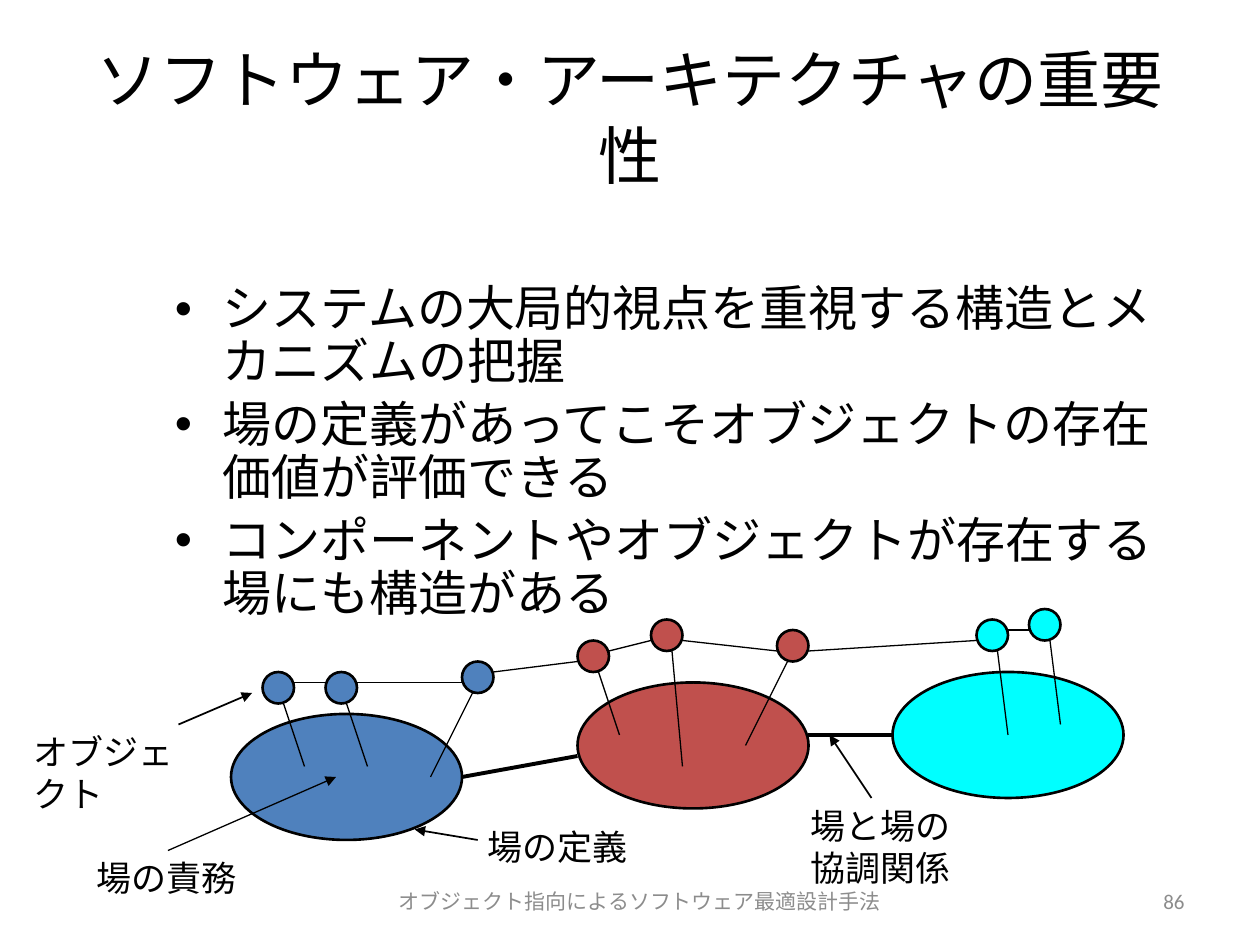
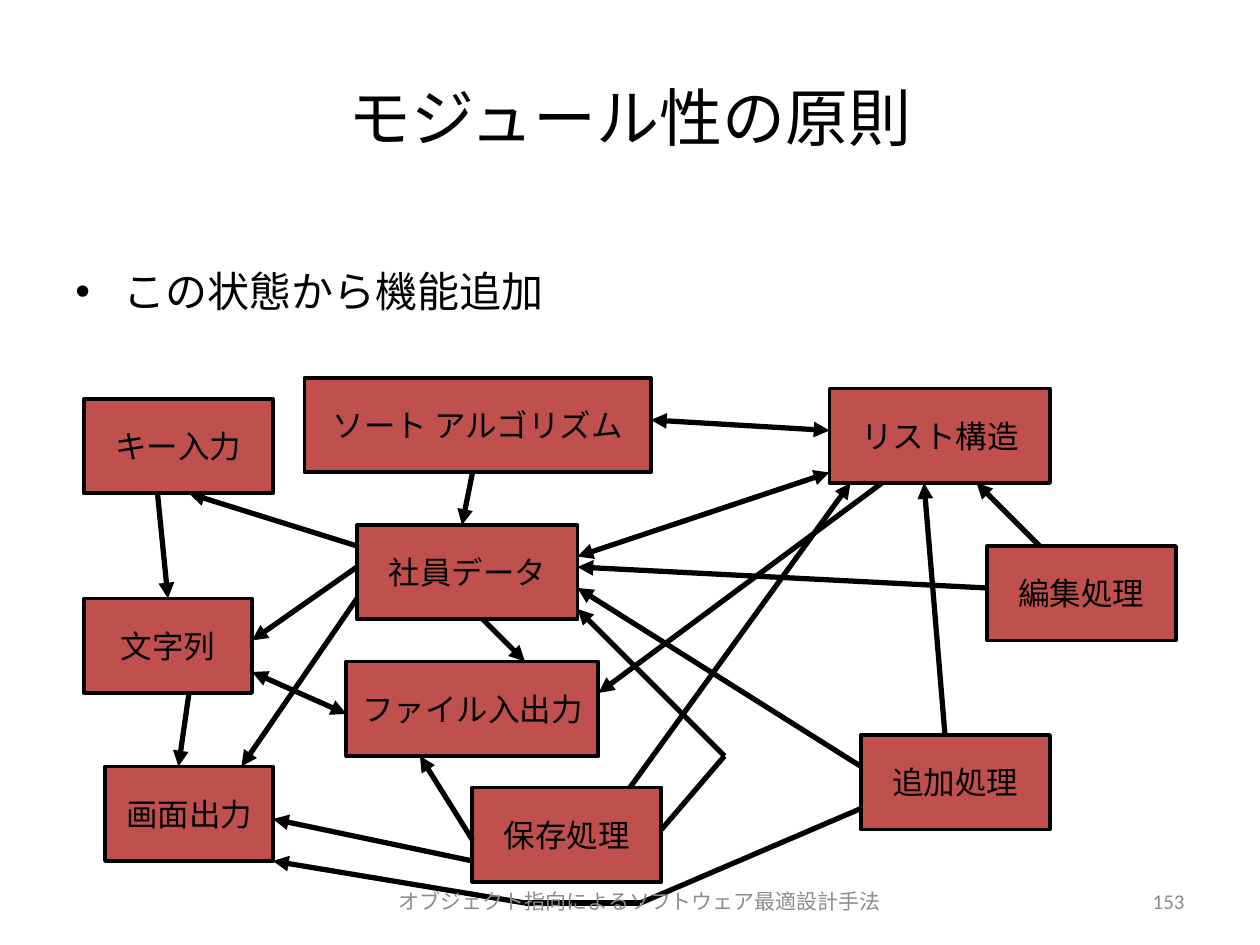
from dataclasses import dataclass

from lxml.etree import SubElement
from pptx import Presentation
from pptx.dml.color import RGBColor
from pptx.enum.shapes import MSO_CONNECTOR, MSO_SHAPE
from pptx.enum.text import MSO_ANCHOR, PP_ALIGN
from pptx.oxml.ns import qn
from pptx.util import Inches, Pt

HUES = {
    "ink": "000000",
    "grey": "8C8C8C",
    "blue": "4F81BD",
    "red": "C0504D",
    "cyan": "00FFFF",
}
LATIN, KANJI = "Calibri", "Noto Sans CJK JP"
FOOTER = "オブジェクト指向によるソフトウェア最適設計手法"
TITLE_BOX = (0.5, 0.3, 9, 1.25)
GRID = 12  # diagram steps per inch


def hue(name):
    return RGBColor.from_string(HUES[name])


def style(para, size, face=KANJI, color="ink", align=None):
    para.alignment = align
    for run in para.runs:
        run.font.size = Pt(size)
        run.font.color.rgb = hue(color)
        run.font.name = face
        SubElement(run.font._element, qn("a:ea"), typeface=KANJI)


def add_text(slide, box, text, size, anchor=MSO_ANCHOR.TOP, **look):
    frame = slide.shapes.add_textbox(*map(Inches, box)).text_frame
    frame.word_wrap = True
    frame.vertical_anchor = anchor
    frame.text = text
    for para in frame.paragraphs:
        style(para, size, **look)
    return frame


@dataclass
class Board:
    """Diagram area; places are grid steps from its top left corner."""
    slide: object
    left: float
    top: float

    def place(self, x, y):
        return Inches(self.left + x / GRID), Inches(self.top + y / GRID)

    def shape(self, kind, x, y, wide, high, fill, weight):
        item = self.slide.shapes.add_shape(
            kind, *self.place(x, y), Inches(wide / GRID), Inches(high / GRID))
        item.shadow.inherit = False
        item.fill.solid()
        item.fill.fore_color.rgb = hue(fill)
        item.line.color.rgb = hue("ink")
        item.line.width = Pt(weight)
        return item

    def line(self, x1, y1, x2, y2, weight, ends=()):
        item = self.slide.shapes.add_connector(
            MSO_CONNECTOR.STRAIGHT, *self.place(x1, y1), *self.place(x2, y2))
        item.line.color.rgb = hue("ink")
        item.line.width = Pt(weight)
        for end in ends:
            SubElement(item.line._get_or_add_ln(), qn(f"a:{end}End"), type="triangle")
        SubElement(item._element.spPr, qn("a:effectLst"))

    def label(self, x, y, wide, high, text):
        box = (self.left + x / GRID, self.top + y / GRID, wide / GRID, high / GRID)
        add_text(self.slide, box, text, 20)


# Parts shared by the slides
def add_page(deck, text):
    slide = deck.slides.add_slide(deck.slide_layouts[5])
    title = slide.shapes.title
    title.left, title.top, title.width, title.height = map(Inches, TITLE_BOX)
    title.text_frame.text = text
    title.text_frame.vertical_anchor = MSO_ANCHOR.MIDDLE
    style(title.text_frame.paragraphs[0], 36, align=PP_ALIGN.CENTER)
    return slide


def add_footer(slide, number):
    for box, text, align in (
        ((1.72, 6.95, 6.72, 0.4), FOOTER, PP_ALIGN.CENTER),
        ((8.67, 6.95, 0.83, 0.4), str(number), PP_ALIGN.RIGHT),
    ):
        add_text(slide, box, text, 12, MSO_ANCHOR.MIDDLE,
                 face=LATIN, color="grey", align=align)


def add_bullets(slide, box, items, size, face, spacing):
    frame = add_text(slide, box, "\n".join(items), size, face=face)
    for i, para in enumerate(frame.paragraphs):
        props = para._p.get_or_add_pPr()
        props.set("marL", str(Inches(0.38)))
        props.set("indent", str(-Inches(0.38)))
        SubElement(props, qn("a:buFont"), typeface="Arial")
        SubElement(props, qn("a:buChar"), char="•")
        para.line_spacing = spacing
        para.space_before = Pt(size * 0.2 if i else 0)


# Fields with the objects that live on them
FIELDS = [("blue", 22, 14), ("red", 55, 11), ("cyan", 85, 10)]
NODES = [  # color, node x, y, foot x, y
    ("blue", 25, 10, 29, 19), ("blue", 31, 10, 35, 19), ("blue", 44, 9, 41, 20),
    ("red", 55, 7, 59, 16), ("red", 62, 5, 65, 19), ("red", 74, 6, 71, 17),
    ("cyan", 93, 5, 96, 16), ("cyan", 98, 4, 101, 15),
]
LINKS = [(11, 11), (11, 11), (10, 9), (8, 7), (7, 8), (8, 7), (6, 6)]
BONDS = [(44, 20, 55, 18), (77, 16, 85, 16)]
HINTS = [  # arrow, weight
    ((45.5, 26, 39.5, 25), 1), ((16, 27, 32, 20), 0.75),
    ((83, 22, 79, 16), 1), ((17, 15, 24, 12), 1),
]
LABELS = [
    (45.25, 24, 16, 5, "場の定義"), (8, 27, 16, 5, "場の責務"),
    (76, 22, 16, 9, "場と場の協調関係"), (2, 15, 18.8, 9, "オブジェクト"),
]


def draw_fields(board):
    for color, x, y in FIELDS:
        board.shape(MSO_SHAPE.OVAL, x, y, 22, 12, color, 1.5)
    for bond in BONDS:
        board.line(*bond, 2.25)
    # Objects, each with a leg that leans towards its foot
    for color, x, y, foot, floor in NODES:
        board.shape(MSO_SHAPE.OVAL, x, y, 3, 3, color, 1.5)
        board.line(x + (2 if foot > x else 1), y + 3, foot, floor, 0.75)
    for node, after, (start, end) in zip(NODES, NODES[1:], LINKS):
        board.line(node[1] + 3, start, after[1], end, 0.75)
    # Captions and their arrows
    for ends, weight in HINTS:
        board.line(*ends, weight, ["tail"])
    for label in LABELS:
        board.label(*label)


# Modules and the calls between them
MODULES = [
    ("キー入力", 8, 2, 18), ("ファイル入出力", 33, 27, 24),
    ("ソート アルゴリズム", 29, 0, 33), ("社員データ", 34, 14, 21),
    ("画面出力", 10, 37, 16), ("リスト構造", 79, 1, 21), ("文字列", 8, 21, 16),
    ("追加処理", 82, 34, 18), ("編集処理", 94, 16, 18), ("保存処理", 45, 39, 18),
]
CALLS = {
    ("head", "tail"): [(62, 4, 79, 5), (79, 9, 55, 17), (33, 32, 24, 28)],
    ("tail",): [
        (45, 9, 44, 14), (99, 16, 93, 10), (60, 39, 81, 10), (90, 34, 88, 10),
        (46, 23, 50, 27), (82, 37, 55, 20), (94, 20, 55, 18), (45, 44, 40, 36),
        (34, 21, 23, 37), (34, 18, 24, 25), (34, 16, 18, 11), (18, 30, 17, 37),
        (45, 46, 26, 42), (50, 50, 26, 46), (15, 11, 16, 21), (84, 10, 57, 30),
        (69, 36, 55, 22),
    ],
    (): [(82, 41, 61, 50), (61, 50, 50, 50), (69, 36, 63, 43)],
}


def draw_modules(board):
    for name, x, y, wide in MODULES:
        item = board.shape(MSO_SHAPE.RECTANGLE, x, y, wide, 9, "red", 2.25)
        frame = item.text_frame
        frame.text = name
        frame.word_wrap = False
        frame.vertical_anchor = MSO_ANCHOR.MIDDLE
        style(frame.paragraphs[0], 18, LATIN, align=PP_ALIGN.CENTER)
    for ends, lines in CALLS.items():
        for line in lines:
            board.line(*line, 3, ends)


def main():
    deck = Presentation()
    deck.slide_width, deck.slide_height = Inches(10), Inches(7.5)

    slide = add_page(deck, "ソフトウェア・アーキテクチャの重要性")
    add_bullets(slide, (1.29, 2.21, 8.21, 2.96), [
        "システムの大局的視点を重視する構造とメカニズムの把握",
        "場の定義があってこそオブジェクトの存在価値が評価できる",
        "コンポーネントやオブジェクトが存在する場にも構造がある",
    ], 28, KANJI, 0.9)
    draw_fields(Board(slide, 0, 4.5))
    add_footer(slide, 86)

    slide = add_page(deck, "モジュール性の原則")
    add_bullets(slide, (0.5, 2.06, 8.94, 0.6), ["この状態から機能追加"], 24, LATIN, 1.0)
    draw_modules(Board(slide, 0, 3))
    add_footer(slide, 153)

    deck.save("out.pptx")


if __name__ == "__main__":
    main()
